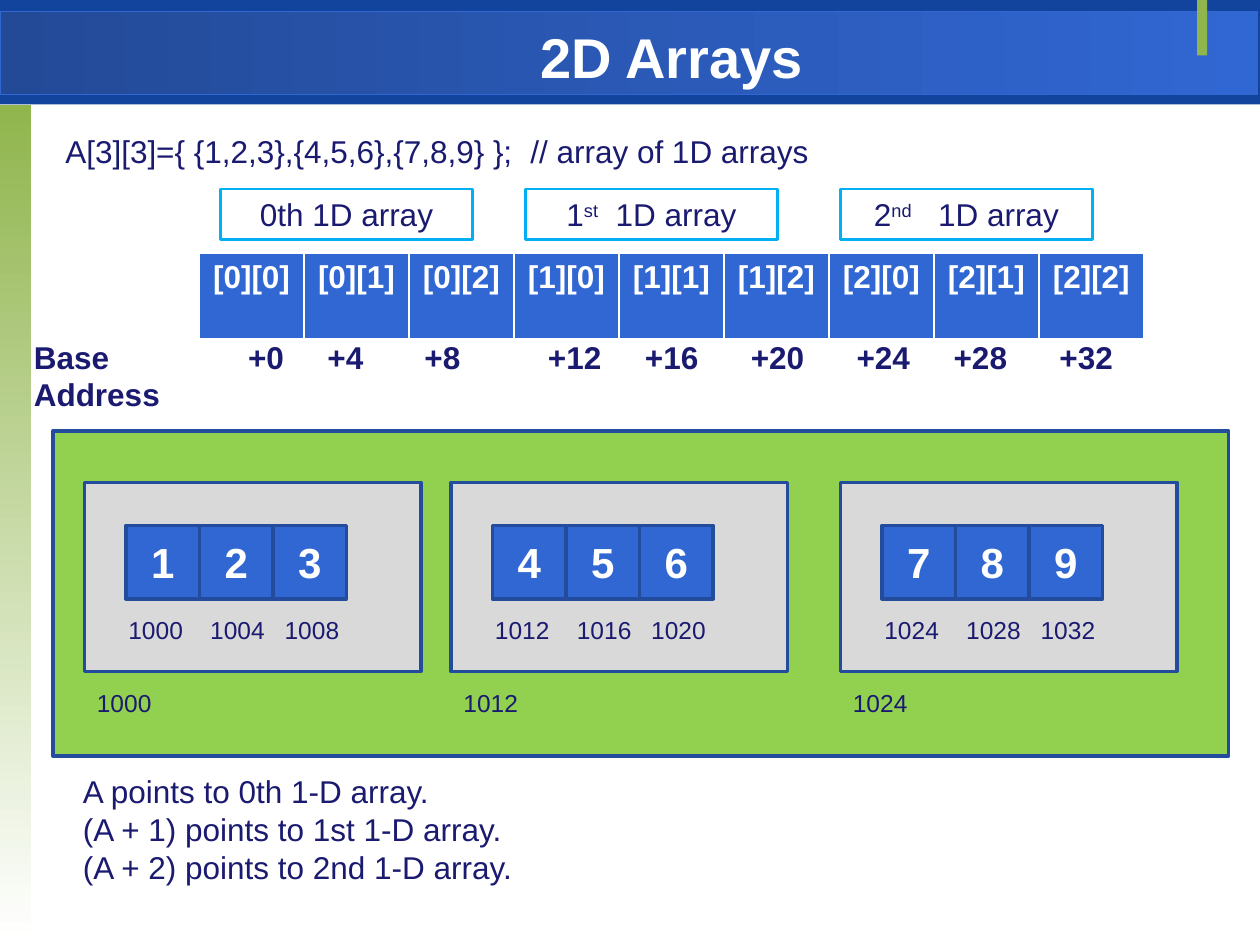
from dataclasses import dataclass

from lxml import etree
from pptx import Presentation
from pptx.dml.color import RGBColor
from pptx.enum import shapes, text
from pptx.oxml import ns
from pptx.util import Inches, Pt

NAVY = RGBColor(0x12, 0x44, 0x9E)
DEEP_BLUE = RGBColor(0x23, 0x4A, 0x97)
BLUE = RGBColor(0x31, 0x67, 0xD3)
OUTLINE = RGBColor(0x24, 0x4C, 0x9C)
CYAN = RGBColor(0x00, 0xB0, 0xF0)
OLIVE = RGBColor(0x90, 0xB5, 0x4D)
GREEN = RGBColor(0x92, 0xD0, 0x50)
GREY = RGBColor(0xD9, 0xD9, 0xD9)
INK = RGBColor(0x1A, 0x1A, 0x70)
WHITE = RGBColor(0xFF, 0xFF, 0xFF)

CELL = 7 / 12  # side of one element's square
SIZE = 4  # bytes per element
BASE = 1000


@dataclass
class Run:
    text: str
    raised: bool = False
    spacing: float = 0  # extra points after each character


@dataclass
class Row:
    left: float
    label_left: float
    label: list[Run]
    values: list[int]


ROWS = [
    Row(0.67, 1.75, [Run("0th 1D array")], [1, 2, 3]),
    Row(3.58, 4.17, [Run("1"), Run("st", True), Run(" ", spacing=5), Run("1D array")], [4, 5, 6]),
    Row(6.67, 6.67, [Run("2"), Run("nd", True), Run(" ", spacing=10), Run("1D array")], [7, 8, 9]),
]
COUNT = sum(len(row.values) for row in ROWS)


def style(p, size: float, color: RGBColor = INK, bold: bool = False, center: bool = False) -> None:
    p.font.name, p.font.size, p.font.bold = "Arial", Pt(size), bold
    p.font.color.rgb = color
    p.alignment = text.PP_ALIGN.CENTER if center else text.PP_ALIGN.LEFT


def add_runs(p, runs: list[Run]) -> None:
    for run in runs:
        r = p.add_run()
        r.text = run.text
        rpr = r.font._element
        if run.raised:
            rpr.set("baseline", "30000")
        if run.spacing:
            rpr.set("spc", str(int(run.spacing * 100)))


def set_tabs(p, stops: list[float]) -> None:
    tabs = etree.Element(ns.qn("a:tabLst"))
    for stop in stops:
        etree.SubElement(tabs, ns.qn("a:tab"), pos=str(Inches(stop)), algn="l")
    p._p.get_or_add_pPr().insert(0, tabs)


def add_box(s, x: float, y: float, w: float, h: float, fill: RGBColor | None = None,
            line: RGBColor | None = None, width: float = 2):
    sp = s.shapes.add_shape(shapes.MSO_SHAPE.RECTANGLE, Inches(x), Inches(y), Inches(w), Inches(h))
    sp.shadow.inherit = False
    if fill is None:
        sp.fill.background()
    else:
        sp.fill.solid()
        sp.fill.fore_color.rgb = fill
    if line is None:
        sp.line.fill.background()
    else:
        sp.line.color.rgb, sp.line.width = line, Pt(width)
    return sp


def add_gradient(sp, start: RGBColor, end: RGBColor, angle: float) -> None:
    sp.fill.gradient()
    sp.fill.gradient_angle = angle
    for stop, color, position in zip(sp.fill.gradient_stops, (start, end), (0, 1)):
        stop.color.rgb, stop.position = color, position


def add_text(s, x: float, y: float, w: float, h: float, lines: list[list[Run]], size: float,
             color: RGBColor = INK, bold: bool = False, center: bool = False):
    tf = s.shapes.add_textbox(Inches(x), Inches(y), Inches(w), Inches(h)).text_frame
    tf.word_wrap = True
    for i, runs in enumerate(lines):
        p = tf.add_paragraph() if i else tf.paragraphs[0]
        style(p, size, color, bold, center)
        add_runs(p, runs)
    return tf


def add_background(s) -> None:
    add_box(s, 0, 0, 10, 0.83, NAVY)
    add_gradient(add_box(s, 0, 0.09, 9.98, 0.66, BLUE, BLUE, 0.75), DEEP_BLUE, BLUE, 0)
    add_gradient(add_box(s, 0, 0.83, 0.25, 6.64, OLIVE), OLIVE, WHITE, 270)
    add_box(s, 9.5, 0, 0.08, 0.44, OLIVE)


def add_index_table(s) -> None:
    table = s.shapes.add_table(1, COUNT, Inches(1.58), Inches(2.01), Inches(7.5), Inches(0.68)).table
    for i in range(COUNT):
        cell = table.cell(0, i)
        cell.fill.solid()
        cell.fill.fore_color.rgb = BLUE
        p = cell.text_frame.paragraphs[0]
        style(p, 18, WHITE, bold=True, center=True)
        add_runs(p, [Run(f"[{i // 3}][{i % 3}]")])


def add_row(s, row: Row) -> None:
    # Label above the index table
    tf = add_box(s, row.label_left, 1.5, 2, 0.4, line=CYAN, width=1.5).text_frame
    style(tf.paragraphs[0], 18, center=True)
    add_runs(tf.paragraphs[0], row.label)

    # Memory block with its elements
    add_box(s, row.left, 3.83, 2.67, 1.5, GREY, OUTLINE)
    for i, value in enumerate(row.values):
        sp = add_box(s, row.left + 0.33 + i * CELL, 4.17, CELL, CELL, BLUE, OUTLINE)
        p = sp.text_frame.paragraphs[0]
        style(p, 24, WHITE, bold=True, center=True)
        add_runs(p, [Run(str(value))])

    # Addresses of the elements and of the block
    addresses = [str(BASE + SIZE * (value - 1)) for value in row.values]
    tf = add_text(s, row.left + 0.25, 4.83, 2.08, 0.34, [[Run("\t".join(addresses))]], 14)
    set_tabs(tf.paragraphs[0], [0.65, 1.24])
    add_text(s, row.left, 5.41, 2.08, 0.34, [[Run(addresses[0])]], 14)


def main() -> None:
    prs = Presentation()
    prs.slide_width, prs.slide_height = Inches(10), Inches(7.5)
    s = prs.slides.add_slide(prs.slide_layouts[6])

    # Title and declaration
    add_background(s)
    add_text(s, 1.58, 0.13, 7.5, 0.58, [[Run("2D Arrays")]], 32, WHITE, bold=True, center=True)
    add_text(s, 0.42, 1, 8.25, 0.4, [[Run("A[3][3]={ {1,2,3},{4,5,6},{7,8,9} };"),
                                      Run(" ", spacing=5), Run("// array of 1D arrays")]], 18)

    # Indices and byte offsets
    add_index_table(s)
    offsets = "\t".join(["Base"] + [f"+{SIZE * i}" for i in range(COUNT)])
    tf = add_text(s, 0.17, 2.63, 9.58, 0.71, [[Run(offsets)], [Run("Address")]], 18, bold=True)
    set_tabs(tf.paragraphs[0], [1.7, 2.33, 3.1, 4.08, 4.85, 5.69, 6.53, 7.3, 8.14])

    # Memory layout
    add_box(s, 0.42, 3.42, 9.33, 2.58, GREEN, OUTLINE)
    for row in ROWS:
        add_row(s, row)

    # Pointer summary
    add_text(s, 0.56, 6.08, 5.1, 1.01, [[Run("A points to 0th 1-D array.")],
                                        [Run("(A + 1) points to 1st 1-D array.")],
                                        [Run("(A + 2) points to 2nd 1-D array.")]], 18)
    prs.save("out.pptx")


if __name__ == "__main__":
    main()
